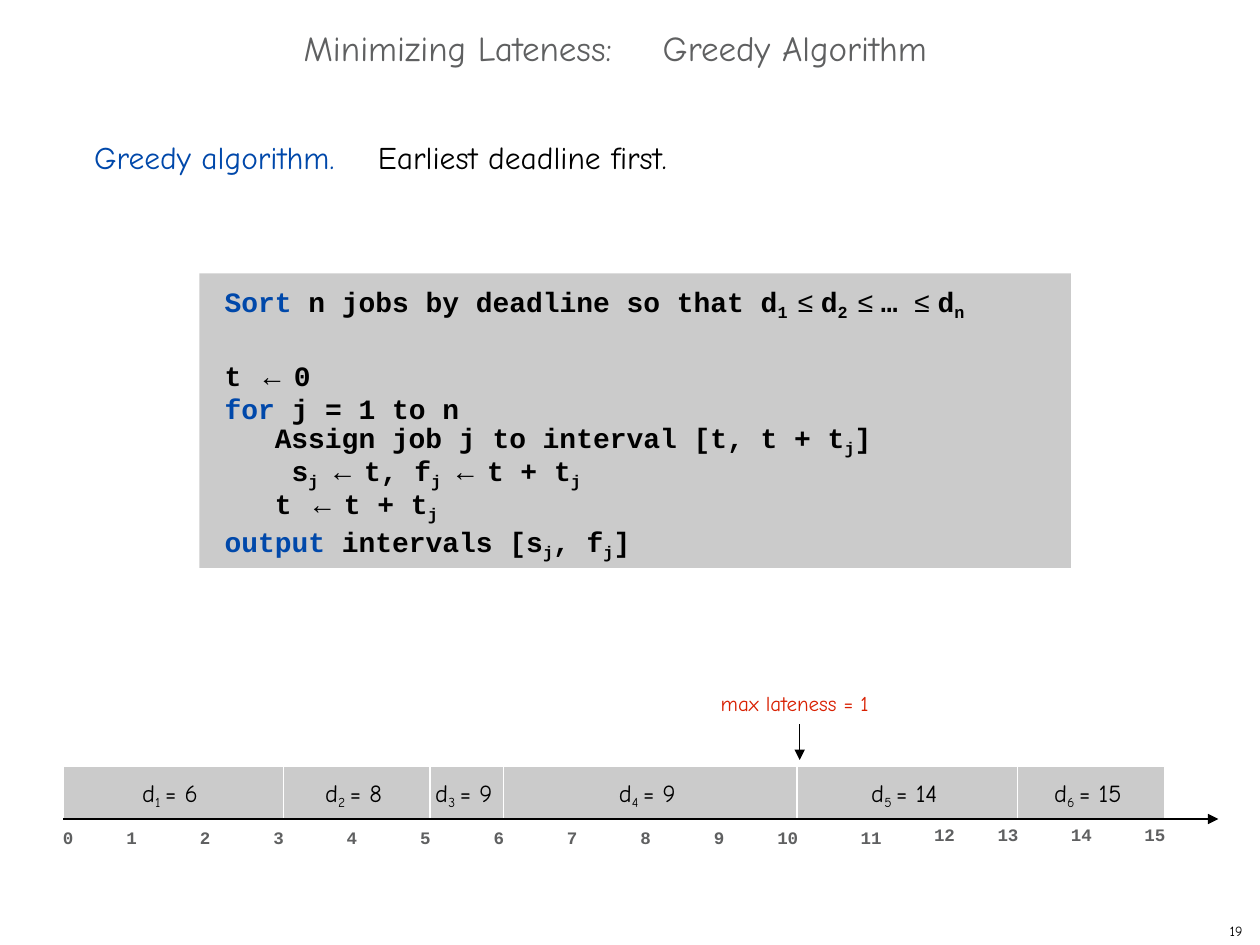
from dataclasses import dataclass

from lxml.etree import SubElement
from pptx import Presentation
from pptx.dml.color import RGBColor
from pptx.enum.shapes import MSO_CONNECTOR, MSO_SHAPE
from pptx.enum.text import MSO_ANCHOR, MSO_AUTO_SIZE, PP_ALIGN
from pptx.oxml.ns import qn
from pptx.util import Cm, Pt


@dataclass(frozen=True)
class Theme:
    gray: str = "5F6061"
    blue: str = "0048AA"
    red: str = "D81F00"
    black: str = "000000"
    white: str = "FFFFFF"
    panel: str = "CBCBCB"
    hand: str = "Comic Neue"
    mono: str = "Courier New"
    symbol: str = "Arial"
    title: float = 20
    lead: float = 18
    code: float = 16
    code_sub: float = 16.5
    job: float = 14
    job_sub: float = 13.5
    note: float = 12
    tick: float = 10
    page: float = 8
    line: float = 0.72
    code_leading: float = 18.7


THEME = Theme()

STYLES = {
    "title": dict(font=THEME.hand, size=THEME.title, color=THEME.gray),
    "term": dict(font=THEME.hand, size=THEME.lead, color=THEME.blue),
    "lead": dict(font=THEME.hand, size=THEME.lead),
    "key": dict(font=THEME.mono, size=THEME.code, color=THEME.blue, bold=True),
    "code": dict(font=THEME.mono, size=THEME.code, bold=True),
    "sub": dict(font=THEME.mono, size=THEME.code_sub, bold=True, baseline=-20),
    "symbol": dict(font=THEME.symbol, size=THEME.code),
    "job": dict(font=THEME.hand, size=THEME.job),
    "job_sub": dict(font=THEME.hand, size=THEME.job_sub, baseline=-25),
    "note": dict(font=THEME.hand, size=THEME.note, color=THEME.red),
    "tick": dict(font=THEME.mono, size=THEME.tick, color=THEME.gray, bold=True),
    "page": dict(font=THEME.hand, size=THEME.page),
}

TITLE = [("Minimizing Lateness:\tGreedy Algorithm", "title")]
LEAD = [("Greedy algorithm.\t", "term"), ("Earliest deadline first.", "lead")]
NOTE = [("max lateness = 1", "note")]
PAGE = [("19", "page")]

# indent in cm, space before in points, runs
CODE = [
    (0.51, 0, [("Sort ", "key"), ("n jobs by deadline so that d", "code"), ("1 ", "sub"),
               ("≤ ", "symbol"), ("d", "code"), ("2 ", "sub"), ("≤ ", "symbol"),
               ("… ", "code"), ("≤ ", "symbol"), ("d", "code"), ("n", "sub")]),
    (0.51, 21.6, [("t ", "code"), ("← ", "symbol"), ("0", "code")]),
    (0.51, 0, [("for ", "key"), ("j = 1 to n", "code")]),
    (1.52, 0, [("Assign job j to interval [t, t + t", "code"), ("j", "sub"), ("]", "code")]),
    (1.86, 0, [("s", "code"), ("j ", "sub"), ("← ", "symbol"), ("t, f", "code"),
               ("j ", "sub"), ("← ", "symbol"), ("t + t", "code"), ("j", "sub")]),
    (1.52, 0, [("t ", "code"), ("← ", "symbol"), ("t + t", "code"), ("j", "sub")]),
    (0.51, 3, [("output ", "key"), ("intervals [s", "code"), ("j", "sub"), (", f", "code"),
               ("j", "sub"), ("]", "code")]),
]

JOBS = [(3, 6), (2, 8), (1, 9), (4, 9), (3, 14), (2, 15)]
TICK_NUDGES = {0: 0.2, 10: -0.2, 13: -0.2, 14: -0.2, 15: -0.2}
LAST_LOW_TICK = 11
LATE_AT = 10

AXIS_LEFT, AXIS_TOP, AXIS_RIGHT = 1.27, 16.51, 24.56
UNIT = 1.48
JOB_HEIGHT = 1.06


def write(paragraph, runs):
    for content, style_name in runs:
        style = STYLES[style_name]
        run = paragraph.add_run()
        run.text = content
        run.font.name = style["font"]
        run.font.size = Pt(style["size"])
        run.font.bold = style.get("bold", False)
        run.font.color.rgb = RGBColor.from_string(style.get("color", THEME.black))
        if "baseline" in style:
            run._r.get_or_add_rPr().set("baseline", str(style["baseline"] * 1000))


def prepare(frame, top=0.06, right=0, anchor=MSO_ANCHOR.TOP):
    frame.word_wrap = True
    frame.auto_size = MSO_AUTO_SIZE.NONE
    frame.vertical_anchor = anchor
    frame.margin_left = frame.margin_bottom = 0
    frame.margin_top, frame.margin_right = Cm(top), Cm(right)
    frame.paragraphs[0].alignment = PP_ALIGN.LEFT
    return frame


def set_tab(paragraph, position):
    tabs = SubElement(paragraph._p.get_or_add_pPr(), qn("a:tabLst"))
    SubElement(tabs, qn("a:tab"), pos=str(Cm(position)), algn="l")


def add_label(slide, runs, left, top, width, height):
    label = slide.shapes.add_textbox(Cm(left), Cm(top), Cm(width), Cm(height))
    paragraph = prepare(label.text_frame).paragraphs[0]
    write(paragraph, runs)
    return paragraph


def add_panel(slide, left, top, width, height):
    panel = slide.shapes.add_shape(MSO_SHAPE.RECTANGLE, Cm(left), Cm(top), Cm(width), Cm(height))
    panel.shadow.inherit = False
    panel.fill.solid()
    panel.fill.fore_color.rgb = RGBColor.from_string(THEME.panel)
    panel.line.fill.background()
    return panel


def add_arrow(slide, x1, y1, x2, y2):
    arrow = slide.shapes.add_connector(MSO_CONNECTOR.STRAIGHT, Cm(x1), Cm(y1), Cm(x2), Cm(y2))
    arrow.line.color.rgb = RGBColor.from_string(THEME.black)
    arrow.line.width = Pt(THEME.line)
    SubElement(arrow.line._get_or_add_ln(), qn("a:tailEnd"), type="triangle")
    SubElement(arrow._element.spPr, qn("a:effectLst"))


def add_heading(slide):
    title = slide.shapes.title
    title.left, title.top, title.width, title.height = Cm(6.12), Cm(0.48), Cm(13.13), Cm(0.91)
    heading = prepare(title.text_frame).paragraphs[0]
    write(heading, TITLE)
    set_tab(heading, 7.24)
    set_tab(add_label(slide, LEAD, 1.9, 2.72, 12.47, 0.84), 5.72)


def add_code(slide):
    frame = prepare(add_panel(slide, 4.02, 5.51, 17.57, 5.94).text_frame, top=0.32)
    for row, (indent, space, runs) in enumerate(CODE):
        line = frame.add_paragraph() if row else frame.paragraphs[0]
        line.alignment = PP_ALIGN.LEFT
        line.line_spacing = Pt(THEME.code_leading)
        line.space_before = Pt(space)
        line._p.get_or_add_pPr().set("marL", str(Cm(indent)))
        write(line, runs)


def add_timeline(slide):
    start = 0
    for number, (duration, deadline) in enumerate(JOBS, 1):
        job = add_panel(slide, AXIS_LEFT + start * UNIT, AXIS_TOP - JOB_HEIGHT,
                        duration * UNIT, JOB_HEIGHT)
        job.line.color.rgb = RGBColor.from_string(THEME.white)
        job.line.width = Pt(THEME.line)
        due = prepare(job.text_frame, right=0.12, anchor=MSO_ANCHOR.MIDDLE).paragraphs[0]
        due.alignment = PP_ALIGN.CENTER
        write(due, [("d", "job"), (f"{number} ", "job_sub"), (f"= {deadline}", "job")])
        start += duration

    for time in range(start + 1):
        left = AXIS_LEFT - 0.2 + time * UNIT + TICK_NUDGES.get(time, 0)
        top = AXIS_TOP + (0.1 if time <= LAST_LOW_TICK else 0.05)
        add_label(slide, [(str(time), "tick")], left, top, 0.28 if time < 10 else 0.51, 0.51)

    late_x = AXIS_LEFT + LATE_AT * UNIT + 0.05
    add_arrow(slide, AXIS_LEFT, AXIS_TOP, AXIS_RIGHT, AXIS_TOP)
    add_arrow(slide, late_x, 14.6, late_x, 15.32)
    add_label(slide, NOTE, 14.53, 13.87, 3.28, 0.58)


def main():
    deck = Presentation()
    deck.slide_width, deck.slide_height = Cm(25.4), Cm(19.05)
    slide = deck.slides.add_slide(deck.slide_layouts[5])
    add_heading(slide)
    add_code(slide)
    add_timeline(slide)
    add_label(slide, PAGE, 24.79, 18.54, 0.56, 0.46)
    deck.save("out.pptx")


if __name__ == "__main__":
    main()
